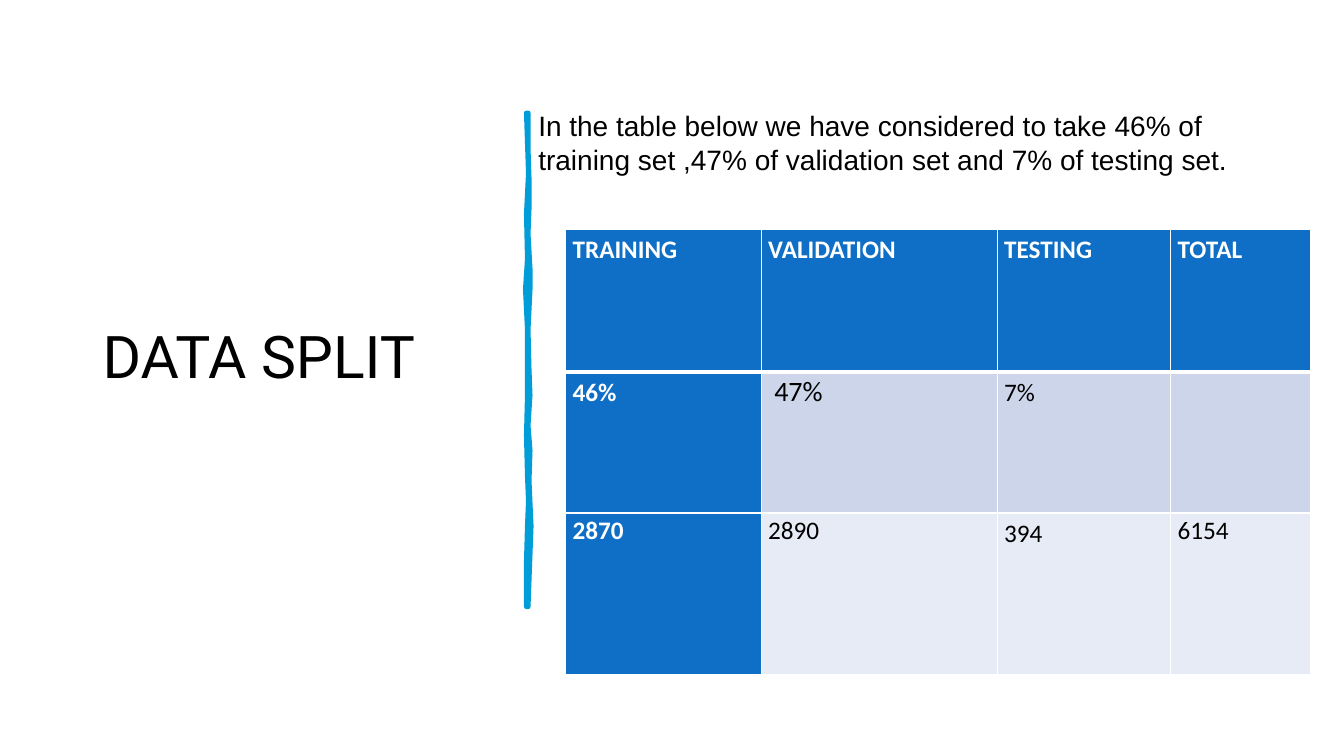
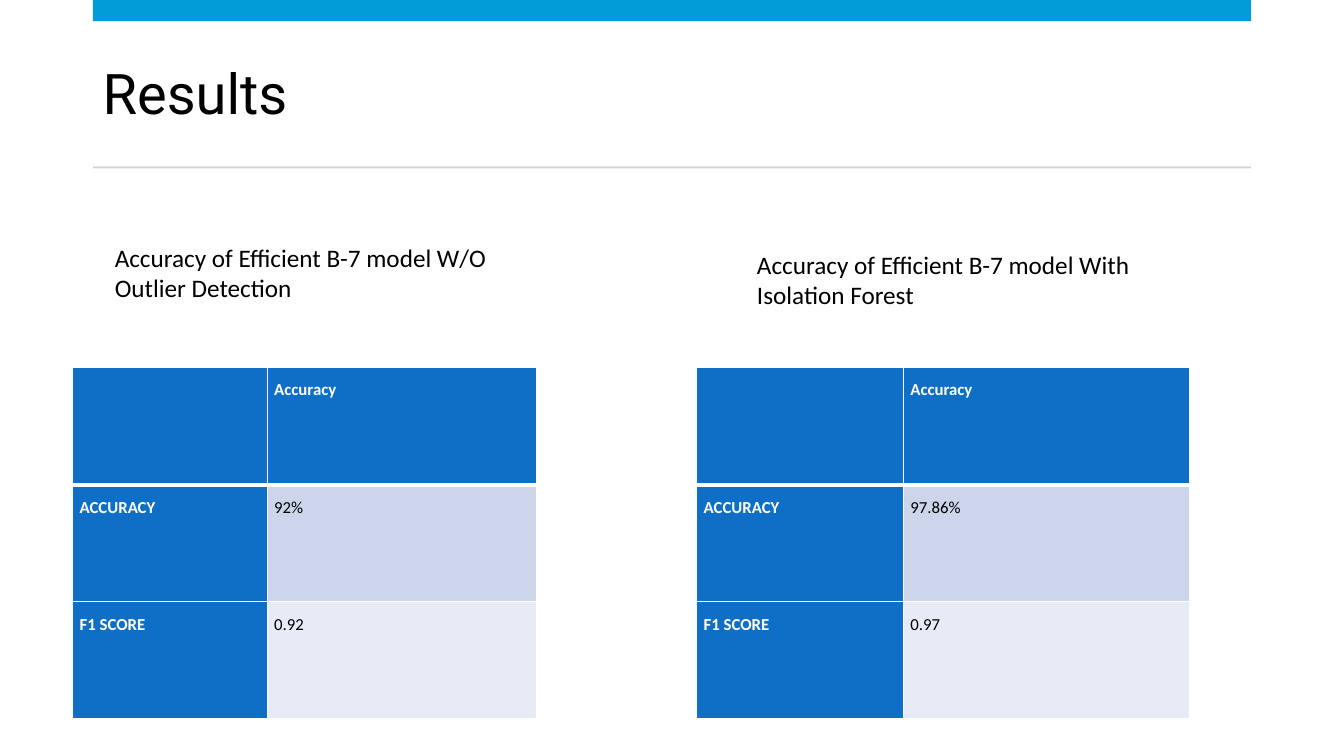
import pptx
import pptx.dml.color
import pptx.enum.shapes
import pptx.enum.text
import pptx.oxml
import pptx.oxml.ns
import pptx.util
from lxml import etree

Inches = pptx.util.Inches
ANCHOR = pptx.enum.text.MSO_ANCHOR

COLORS = {
    "text": "000000",
    "white": "FFFFFF",
    "accent": "009DD9",
    "rule": "D5D5D5",
    "header": "0F6FC6",
    "band_dark": "CCD5EA",
    "band_light": "E7EBF5",
}
TITLE_FONT, BODY_FONT, INTRO_FONT = "Roboto", "Calibri", "Arial"
CONTENT_LEFT, CONTENT_WIDTH = 0.92, 11.49

# Wavy divider edges as (x, y) offsets, in hundredths of an inch.
RIGHT_EDGE = [(4, 0), (4, 35), (5, 65), (5, 95), (4, 120), (6, 155), (6, 175),
              (4, 215), (5, 255), (6, 280), (4, 310), (6, 335), (5, 365),
              (7, 410), (4, 490)]
LEFT_EDGE = [(2, 490), (2, 445), (3, 410), (4, 385), (3, 360), (2, 320), (3, 280),
             (3, 240), (3, 215), (1, 175), (3, 145), (2, 100), (4, 60), (2, 0)]


def color(name):
    return pptx.dml.color.RGBColor.from_string(COLORS[name])


def write_text(frame, text, size=18, font=BODY_FONT, fill="text", bold=False,
               line_spacing=1.0):
    paragraph = frame.paragraphs[0]
    paragraph.line_spacing = line_spacing
    run = paragraph.add_run()
    run.text = text
    run.font.size = pptx.util.Pt(size)
    run.font.name = font
    run.font.bold = bold
    run.font.color.rgb = color(fill)


def add_text(slide, box, text, anchor=ANCHOR.TOP, bottom_inset=0.05, **text_format):
    frame = slide.shapes.add_textbox(*map(Inches, box)).text_frame
    frame.word_wrap = True
    frame.vertical_anchor = anchor
    frame.margin_bottom = Inches(bottom_inset)
    write_text(frame, text, **text_format)


def add_title(slide, box, text, size):
    add_text(slide, box, text, anchor=ANCHOR.MIDDLE, size=size, font=TITLE_FONT,
             line_spacing=0.9)


def add_bar(slide, box, fill):
    bar = slide.shapes.add_shape(pptx.enum.shapes.MSO_SHAPE.RECTANGLE,
                                 *map(Inches, box))
    bar.shadow.inherit = False
    bar.fill.solid()
    bar.fill.fore_color.rgb = color(fill)
    bar.line.fill.background()


def add_wavy_divider(slide, left, top):
    points = RIGHT_EDGE + LEFT_EDGE
    builder = slide.shapes.build_freeform(*points[0], scale=Inches(0.01))
    builder.add_line_segments(points[1:], close=True)
    divider = builder.convert_to_shape(Inches(left), Inches(top))
    divider.shadow.inherit = False
    divider.fill.solid()
    divider.fill.fore_color.rgb = color("accent")
    divider.line.color.rgb = color("accent")
    divider.line.width = pptx.util.Pt(3.25)
    outline = divider.element.spPr.find(pptx.oxml.ns.qn("a:ln"))
    etree.SubElement(outline, pptx.oxml.ns.qn("a:round"))


def set_borders(cell, **widths):
    """Draw white borders; widths maps L, R, T and B, in that order, to points."""
    properties = cell._tc.get_or_add_tcPr()
    for side, width in widths.items():
        properties.append(pptx.oxml.parse_xml(
            f'<a:ln{side} {pptx.oxml.ns.nsdecls("a")} w="{pptx.util.Pt(width)}">'
            f'<a:solidFill><a:srgbClr val="{COLORS["white"]}"/></a:solidFill>'
            f'</a:ln{side}>'))


def add_data_table(slide, left, top, widths, heights, rows, insets, size, shifts=None):
    """Add a table with a header row and column.

    insets are (left, top, right); shifts maps (row, column) to
    (extra left inset, extra top inset, text size).
    """
    table = slide.shapes.add_table(
        len(heights), len(widths), Inches(left), Inches(top),
        Inches(sum(widths)), Inches(sum(heights))).table
    for column, width in zip(table.columns, widths):
        column.width = Inches(width)
    for row, height in zip(table.rows, heights):
        row.height = Inches(height)
    for r, texts in enumerate(rows):
        for c, text in enumerate(texts):
            cell = table.cell(r, c)
            is_header = r == 0 or c == 0
            extra_left, extra_top, text_size = (shifts or {}).get((r, c), (0, 0, size))
            cell.margin_left = Inches(insets[0] + extra_left)
            cell.margin_top = Inches(insets[1] + extra_top)
            cell.margin_right = Inches(insets[2])
            cell.margin_bottom = 0
            set_borders(cell, L=1, R=1, T=3 if r == 1 else 1, B=3 if r == 0 else 1)
            cell.fill.solid()
            cell.fill.fore_color.rgb = color(
                "header" if is_header else "band_dark" if r % 2 else "band_light")
            if text:
                write_text(cell.text_frame, text, size=text_size, bold=is_header,
                           fill="white" if is_header else "text", line_spacing=1.07)


def build_data_split(slide):
    add_title(slide, (CONTENT_LEFT, 0.6, 3.94, 5.94), "DATA SPLIT", 42)
    add_wavy_divider(slide, 5.2, 1.12)
    lowered = (0, 0.03, 18)
    shifts = {(0, c): lowered for c in range(4)}
    shifts.update({(1, 0): lowered, (1, 1): (0.06, 0, 20), (1, 2): lowered,
                   (2, 2): lowered})
    add_data_table(
        slide, 5.61, 2.28, [1.94, 2.34, 1.72, 1.39], [1.41, 1.4, 1.6],
        [["TRAINING", "VALIDATION", "TESTING", "TOTAL"],
         ["46%", "47%", "7%", ""],
         ["2870", "2890", "394", "6154"]],
        insets=(0.07, 0, 0.03), size=18, shifts=shifts)
    add_text(slide, (5.24, 1.02, 7.42, 0.96),
             "In the table below we have considered to take 46% of training set "
             ",47% of validation set and 7% of testing set.",
             anchor=ANCHOR.MIDDLE, bottom_inset=0.23, size=20, font=INTRO_FONT)


def add_model_result(slide, caption_at, caption, table_left, widths, accuracy, f1_score):
    add_data_table(
        slide, table_left, 3.64, widths, [1.17, 1.16, 1.16],
        [["", "Accuracy"], ["ACCURACY", accuracy], ["F1 SCORE", f1_score]],
        insets=(0.07, 0.11, 0.08), size=12)
    add_text(slide, (*caption_at, 3.9, 0.71), caption)


def build_results(slide):
    add_title(slide, (CONTENT_LEFT, 0.37, CONTENT_WIDTH, 1.18), "Results", 40)
    add_bar(slide, (CONTENT_LEFT, 0, CONTENT_WIDTH, 0.21), "accent")
    add_bar(slide, (CONTENT_LEFT, 1.65, CONTENT_WIDTH, 0.02), "rule")
    add_model_result(slide, (1.04, 2.35),
                     "Accuracy of Efficient B-7 model W/O Outlier Detection",
                     0.72, [1.93, 2.67], "92%", "0.92")
    add_model_result(slide, (7.41, 2.42),
                     "Accuracy of Efficient B-7 model With Isolation Forest",
                     6.91, [2.05, 2.84], "97.86%", "0.97")


def main():
    deck = pptx.Presentation()
    deck.slide_width, deck.slide_height = Inches(13.33), Inches(7.5)
    blank = deck.slide_layouts[6]
    for build in (build_data_split, build_results):
        build(deck.slides.add_slide(blank))
    deck.save("out.pptx")


if __name__ == "__main__":
    main()
